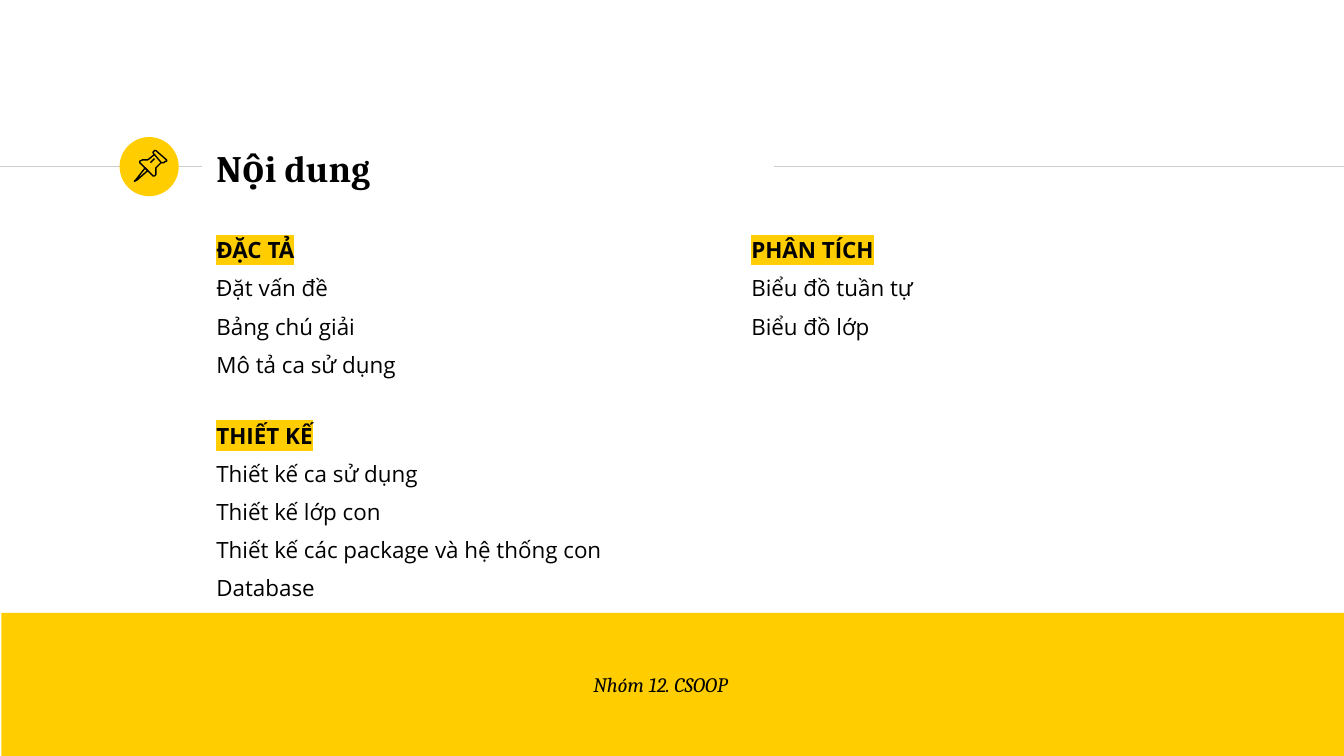
from collections import namedtuple
from lxml.etree import SubElement
from pptx import Presentation
from pptx.dml.color import RGBColor
from pptx.enum.shapes import MSO_CONNECTOR, MSO_SHAPE
from pptx.enum.text import MSO_ANCHOR, MSO_AUTO_SIZE, PP_ALIGN
from pptx.oxml import parse_xml
from pptx.oxml.ns import nsdecls, qn
from pptx.util import Inches, Pt

COLORS = {"ink": "000000", "accent": "FFCD00", "rule": "CCCCCC"}
HEADING_FONT, BODY_FONT = "Cambria", "Open Sans"
COLUMNS = 1000
CELL = Inches(0.01)
LEFT_COLUMN, RIGHT_COLUMN = 151, 549
Box = namedtuple("Box", "left top width height")

PIN_STROKES = [
    ([(8, 13), (1, 22), (0, 23), (2, 22), (10, 15)], True),
    ([(15, 3), (20, 9), (22, 9), (23, 8), (24, 8), (24, 7),
      (16, 0), (15, 0), (14, 1), (14, 2)], True),
    ([(15, 3), (10, 7), (8, 7), (6, 7), (4, 8), (4, 9), (14, 19),
      (15, 19), (16, 18), (16, 16), (16, 13), (20, 9)], False),
    ([(12, 9), (15, 6)], False),
]

SECTIONS = [
    (Box(LEFT_COLUMN, 166, 353, 120),
     ["ĐẶC TẢ", "Đặt vấn đề", "Bảng chú giải", "Mô tả ca sử dụng"]),
    (Box(RIGHT_COLUMN, 166, 368, 108),
     ["PHÂN TÍCH", "Biểu đồ tuần tự", "Biểu đồ lớp"]),
    (Box(LEFT_COLUMN, 304, 368, 149),
     ["THIẾT KẾ", "Thiết kế ca sử dụng", "Thiết kế lớp con",
      "Thiết kế các package và hệ thống con", "Database"]),
]


def color(name):
    return RGBColor.from_string(COLORS[name])


def emu(box):
    return [length * CELL for length in box]


def frame_text(holder, box, anchor):
    holder.left, holder.top, holder.width, holder.height = emu(box)
    frame = holder.text_frame
    frame.word_wrap = True
    frame.auto_size = MSO_AUTO_SIZE.NONE
    frame.vertical_anchor = anchor
    frame.margin_left = frame.margin_right = Inches(0.1)
    frame.margin_top = frame.margin_bottom = Inches(0.1)
    return frame


def add_run(paragraph, text, font, size, bold=False, italic=False):
    run = paragraph.add_run()
    run.text = text
    run.font.size, run.font.name = Pt(size), font
    run.font.bold, run.font.italic = bold, italic
    run.font.color.rgb = color("ink")
    return run


def highlight(run):
    mark = parse_xml(f'<a:highlight {nsdecls("a")}>'
                     f'<a:srgbClr val="{COLORS["accent"]}"/></a:highlight>')
    run._r.rPr.find(qn("a:solidFill")).addnext(mark)


def add_rule(slide, start, end, row):
    rule = slide.shapes.add_connector(
        MSO_CONNECTOR.STRAIGHT, start * CELL, row * CELL, end * CELL, row * CELL)
    rule.line.color.rgb = color("rule")
    rule.line.width = Pt(0.75)
    SubElement(rule._element.spPr, qn("a:effectLst"))


def add_block(slide, preset, box):
    block = slide.shapes.add_shape(preset, *emu(box))
    block.shadow.inherit = False
    block.fill.solid()
    block.fill.fore_color.rgb = color("accent")
    block.line.fill.background()


def add_pin(slide, box):
    for points, closed in PIN_STROKES:
        builder = slide.shapes.build_freeform(*points[0], scale=CELL)
        builder.add_line_segments(points[1:], close=closed)
        stroke = builder.convert_to_shape(box.left * CELL, box.top * CELL)
        stroke.shadow.inherit = False
        stroke.fill.background()
        stroke.line.color.rgb = color("ink")
        stroke.line.width = Pt(0.75)


def build_header(slide, box):
    middle = box.top + 23
    add_rule(slide, 0, box.left - 1, middle)
    add_rule(slide, box.left + box.width + 1, COLUMNS, middle)
    badge = Box(box.left - 62, middle - 22, 44, 44)
    add_block(slide, MSO_SHAPE.OVAL, badge)
    add_pin(slide, Box(badge.left + 11, badge.top + 10, 24, 23))
    heading = frame_text(slide.shapes.title, box, MSO_ANCHOR.MIDDLE).paragraphs[0]
    heading.alignment = PP_ALIGN.LEFT
    add_run(heading, "Nội dung", HEADING_FONT, 20, bold=True)


def build_section(holder, box, lines):
    frame = frame_text(holder, box, MSO_ANCHOR.TOP)
    for index, text in enumerate(lines):
        entry = frame.add_paragraph() if index else frame.paragraphs[0]
        entry.alignment = PP_ALIGN.LEFT
        entry.space_before = Pt(6)
        properties = entry._p.get_or_add_pPr()
        properties.set("marL", "0")
        properties.set("indent", "0")
        SubElement(properties, qn("a:buNone"))
        run = add_run(entry, text, BODY_FONT, 12, bold=index == 0)
        if index == 0:
            highlight(run)


def build_footer(slide, box):
    add_block(slide, MSO_SHAPE.RECTANGLE, box)
    caption_box = Box(box.left + 284, box.top + 34, 413, 40)
    caption = slide.shapes.add_textbox(*emu(caption_box))
    credit = frame_text(caption, caption_box, MSO_ANCHOR.TOP).paragraphs[0]
    credit.alignment = PP_ALIGN.CENTER
    credit.space_before = credit.space_after = Pt(10)
    add_run(credit, "Nhóm 12. CSOOP", HEADING_FONT, 11, italic=True)


def build_contents(deck):
    slide = deck.slides.add_slide(deck.slide_layouts.get_by_name("Comparison"))
    build_header(slide, Box(LEFT_COLUMN, 101, 424, 48))
    title, *holders = list(slide.placeholders)
    for holder, (box, lines) in zip(holders, SECTIONS):
        build_section(holder, box, lines)
    for spare in holders[len(SECTIONS):]:
        spare._element.getparent().remove(spare._element)
    build_footer(slide, Box(1, 456, COLUMNS, 107))


deck = Presentation()
deck.slide_width = COLUMNS * CELL
deck.slide_height = deck.slide_width * 9 // 16
build_contents(deck)
deck.save("out.pptx")
